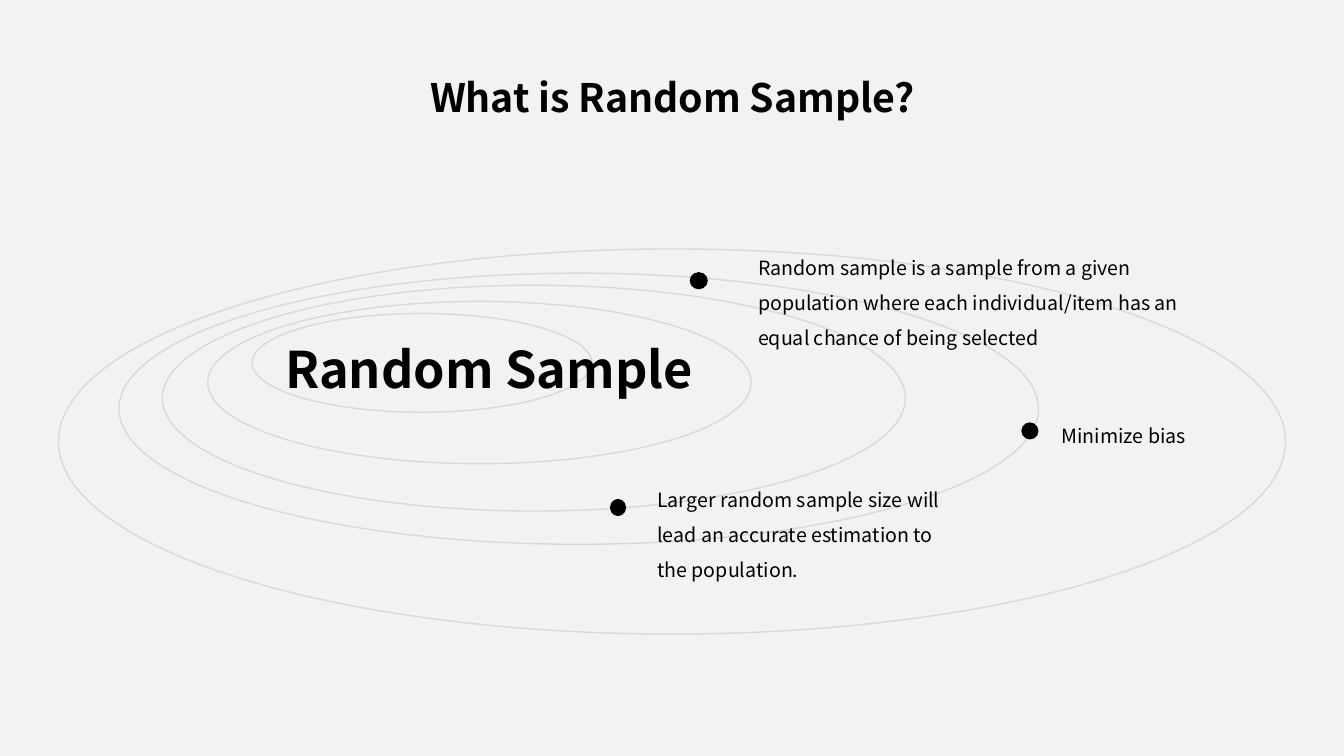
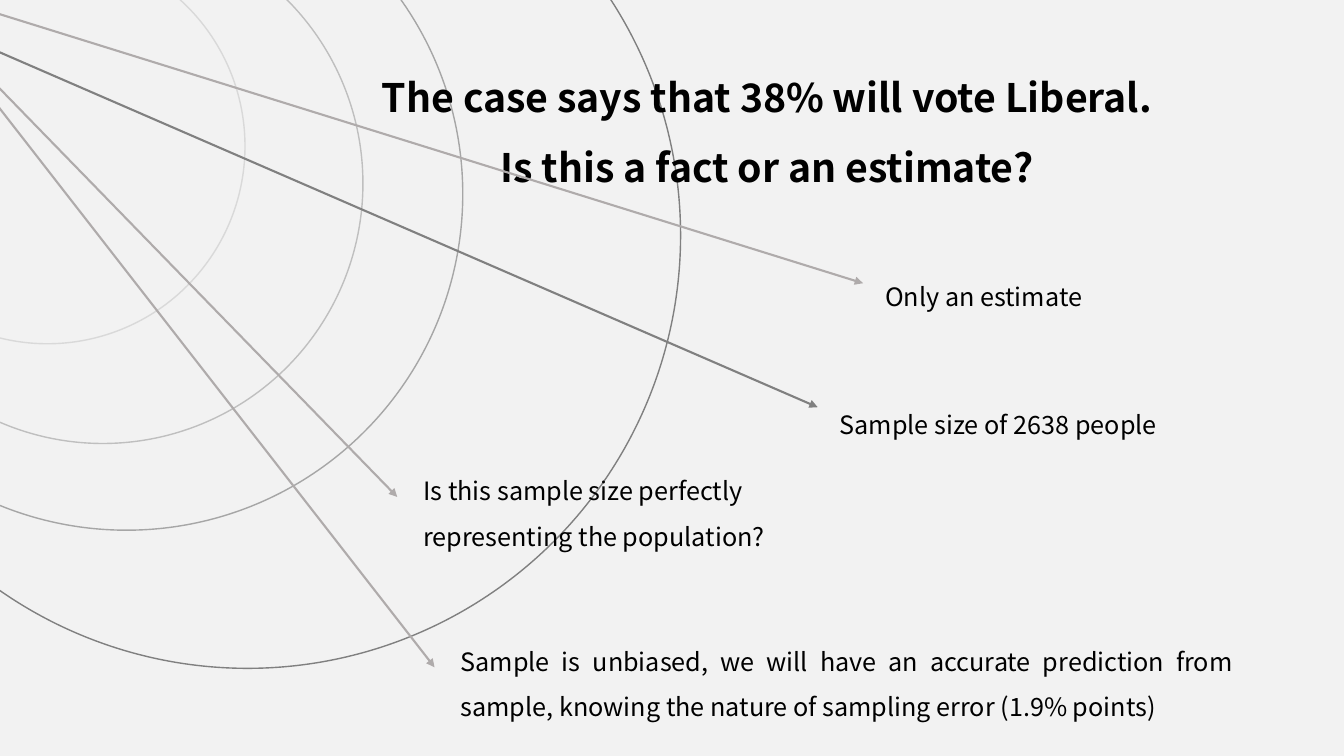
import dataclasses

import pptx
import pptx.dml.color
import pptx.enum.shapes
import pptx.enum.text
import pptx.oxml
import pptx.oxml.ns
import pptx.util
from pptx.util import Inches

ALIGN = pptx.enum.text.PP_ALIGN
SHAPE = pptx.enum.shapes.MSO_SHAPE


def rgb(code):
    return pptx.dml.color.RGBColor.from_string(code)


@dataclasses.dataclass(frozen=True)
class Theme:
    font: str = "Noto Sans CJK SC"
    background: str = "F2F2F2"
    ink: str = "000000"
    pale: str = "D9D9D9"
    light: str = "BFBFBF"
    medium: str = "A6A6A6"
    dark: str = "808080"
    arrow: str = "AFABAB"
    title_size: int = 28
    hero_size: int = 36
    note_size: int = 14
    answer_size: int = 18
    line_spacing: float = 1.5
    ring_width: float = 1
    arrow_width: float = 1.5


theme = Theme()


def add_text(slide, box, lines, size, bold=False, align=ALIGN.LEFT):
    """Add one paragraph, with a line break between the given lines."""
    frame = slide.shapes.add_textbox(*map(Inches, box)).text_frame
    frame.word_wrap = True
    frame.auto_size = pptx.enum.text.MSO_AUTO_SIZE.SHAPE_TO_FIT_TEXT
    paragraph = frame.paragraphs[0]
    paragraph.alignment = align
    paragraph.line_spacing = theme.line_spacing
    for index, line in enumerate(lines):
        if index:
            paragraph.add_line_break()
        run = paragraph.add_run()
        run.text = line
        run.font.name = theme.font
        run.font.size = pptx.util.Pt(size)
        run.font.bold = bold
        run.font.color.rgb = rgb(theme.ink)


prs = pptx.Presentation()
prs.slide_width = Inches(13.33)
prs.slide_height = Inches(7.5)
master_fill = prs.slide_master.background.fill
master_fill.solid()
master_fill.fore_color.rgb = rgb(theme.background)

# What each slide holds: title, rings and the text around them
definition_rings = [
    ((2.5, 3.11, 3.37, 0.98), theme.pale),
    ((2.06, 2.99, 5.39, 1.61), theme.pale),
    ((1.61, 2.83, 7.37, 2.24), theme.pale),
    ((1.18, 2.71, 9.12, 2.69), theme.pale),
    ((0.58, 2.47, 12.17, 3.82), theme.pale),
]
case_rings = [
    ((-1.49, -0.51, 3.92, 3.92), theme.pale),
    ((-1.56, -0.76, 5.16, 5.16), theme.light),
    ((-2.08, -1.41, 6.67, 6.67), theme.medium),
    ((-1.84, -1.96, 8.59, 8.59), theme.dark),
]
definition_points = [
    ((6.05, 4.95, 0.16, 0.17), (6.42, 4.67, 3.15, 1.16), ALIGN.LEFT,
     "Larger random sample size will lead an accurate estimation to the population."),
    ((10.13, 4.19, 0.17, 0.17), (10.43, 4.04, 2.19, 0.41), ALIGN.JUSTIFY,
     "Minimize bias"),
    ((6.84, 2.7, 0.18, 0.17), (7.42, 2.37, 4.4, 1.16), ALIGN.LEFT,
     "Random sample is a sample from a given population where each "
     "individual/item has an equal chance of being selected"),
]
arrow_start_x = -0.07
case_answers = [
    (0.12, (8.56, 2.81), theme.arrow, (8.68, 2.59, 2.82, 0.56), ALIGN.JUSTIFY,
     "Only an estimate"),
    (0.49, (8.11, 4.04), theme.dark, (8.23, 3.86, 3.93, 0.56), ALIGN.JUSTIFY,
     "Sample size of 2638 people"),
    (0.99, (4.31, 6.62), theme.arrow, (4.47, 6.21, 7.86, 1.01), ALIGN.JUSTIFY,
     "Sample is unbiased, we will have an accurate prediction from sample, "
     "knowing the nature of sampling error (1.9% points)"),
    (0.81, (3.94, 4.93), theme.arrow, (4.1, 4.52, 4.47, 1.01), ALIGN.LEFT,
     "Is this sample size perfectly representing the population?"),
]
pages = [
    ((3.32, 0.44, 6.7, 0.72), ["What is Random Sample?"], definition_rings),
    ((3.32, 0.44, 8.57, 1.51),
     ["The case says that 38% will vote Liberal.", "Is this a fact or an estimate?"],
     case_rings),
]

# Rings and title on both slides
blank = prs.slide_layouts[6]
slides = []
for title_box, title_lines, rings in pages:
    slide = prs.slides.add_slide(blank)
    for box, color in rings:
        ring = slide.shapes.add_shape(SHAPE.OVAL, *map(Inches, box))
        ring.shadow.inherit = False
        ring.fill.background()
        ring.line.color.rgb = rgb(color)
        ring.line.width = pptx.util.Pt(theme.ring_width)
    add_text(slide, title_box, title_lines, theme.title_size, True, ALIGN.CENTER)
    slides.append(slide)
definition, case = slides

# Slide 1: the term in the middle, dots with notes on the rings
add_text(definition, (2.73, 3, 4.69, 1.01), ["Random Sample"], theme.hero_size, True)
for dot_box, note_box, align, note in definition_points:
    dot = definition.shapes.add_shape(SHAPE.OVAL, *map(Inches, dot_box))
    dot.shadow.inherit = False
    dot.fill.solid()
    dot.fill.fore_color.rgb = rgb(theme.ink)
    dot.line.fill.background()
    add_text(definition, note_box, [note], theme.note_size, align=align)

# Slide 2: arrows from the left edge, each to its answer
for start_y, end, color, answer_box, align, answer in case_answers:
    arrow = case.shapes.add_connector(
        pptx.enum.shapes.MSO_CONNECTOR.STRAIGHT,
        *map(Inches, (arrow_start_x, start_y, *end)))
    arrow.line.color.rgb = rgb(color)
    arrow.line.width = pptx.util.Pt(theme.arrow_width)
    head = pptx.oxml.parse_xml(
        f'<a:tailEnd {pptx.oxml.ns.nsdecls("a")} type="triangle"/>')
    arrow.line._get_or_add_ln().append(head)
    arrow._element.spPr.append(
        pptx.oxml.parse_xml(f'<a:effectLst {pptx.oxml.ns.nsdecls("a")}/>'))
    add_text(case, answer_box, [answer], theme.answer_size, align=align)

prs.save("out.pptx")
